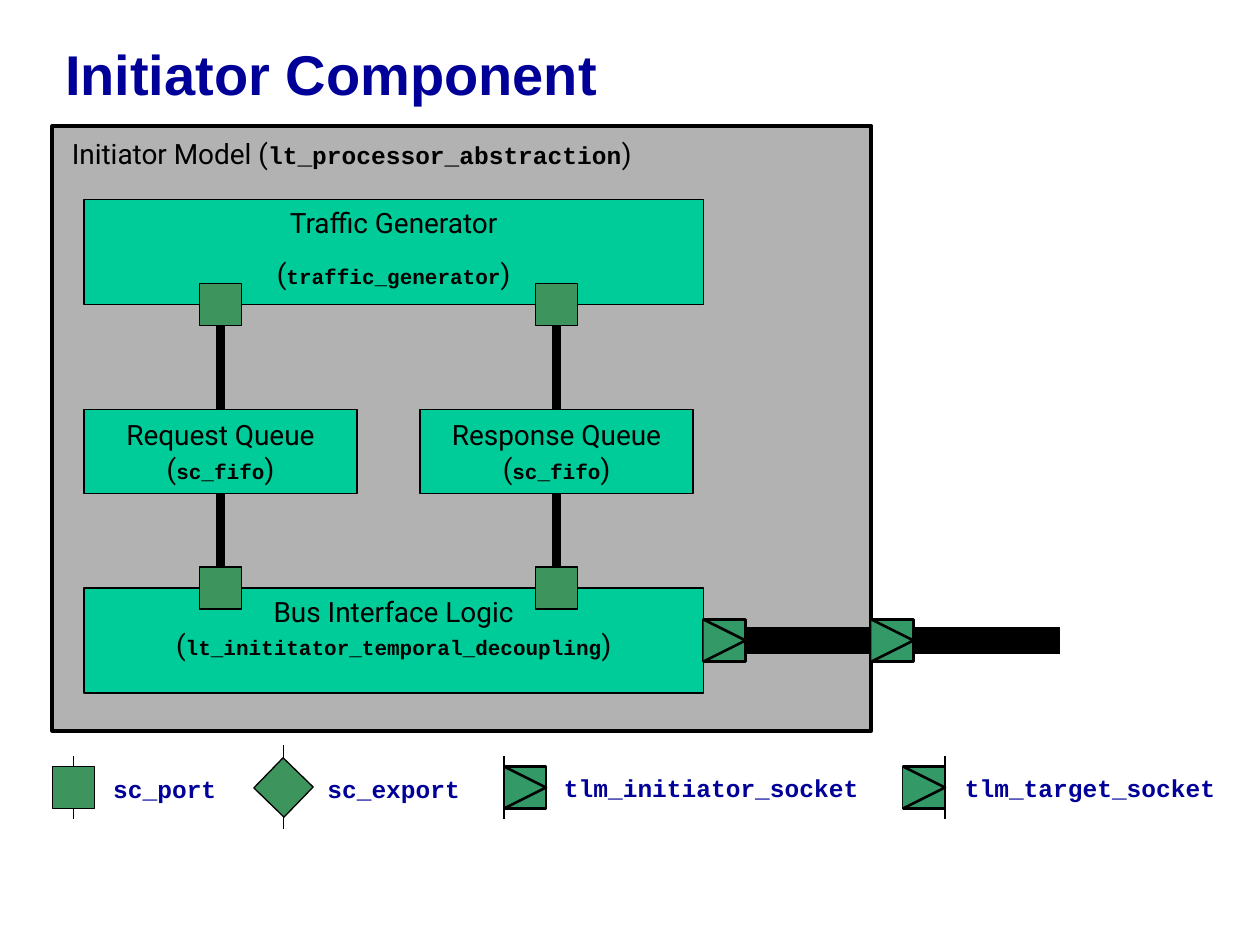
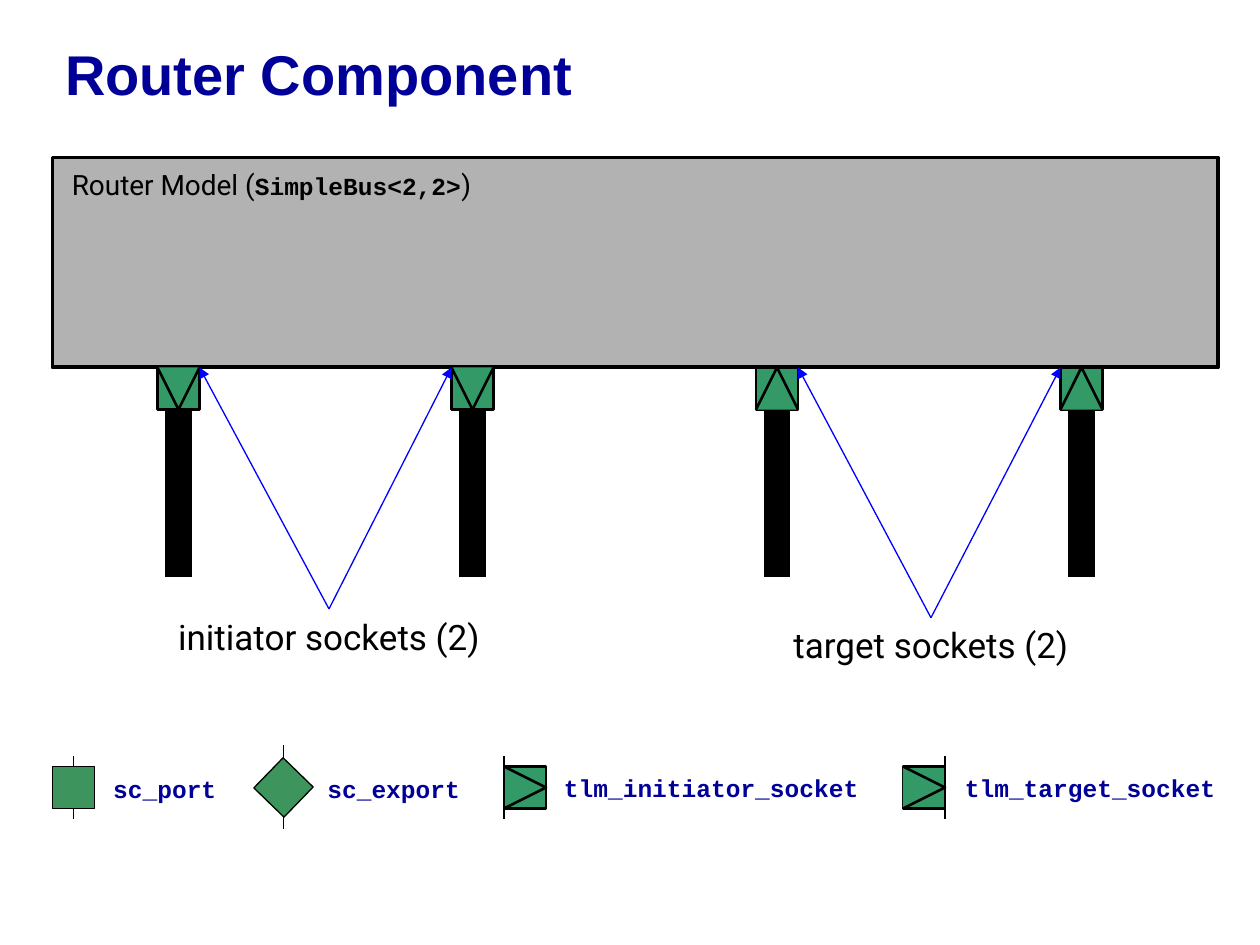
from lxml.etree import SubElement
from pptx import Presentation
from pptx.dml.color import RGBColor
from pptx.enum.shapes import MSO_CONNECTOR, MSO_SHAPE
from pptx.enum.text import MSO_ANCHOR, PP_ALIGN
from pptx.oxml.ns import qn
from pptx.util import Pt

COLORS = {
    "navy": "000099", "black": "000000", "gray": "B2B2B2", "mint": "00CC99",
    "port": "3E945D", "socket": "339966", "blue": "0000FF",
}
SANS, MONO, HEAD = "Roboto", "Courier New", "Arial"
SIDE = 24          # side of a port or socket
HALF = SIDE / 2
THIN, BOLD, LINK, BUS = 0.75, 1.5, 5, 15

# Socket triangles as fractions of the socket side
WEDGES = {
    "right": [(0, 0), (1, 0.5), (0, 1)],
    "down": [(0, 0), (0.5, 1), (1, 0)],
    "up": [(0, 1), (0.5, 0), (1, 1)],
}


def tint(name):
    return RGBColor.from_string(COLORS[name])


# Basic parts
def paint(shape, fill, weight):
    shape.shadow.inherit = False
    shape.fill.solid()
    shape.fill.fore_color.rgb = tint(fill)
    shape.line.color.rgb = tint("black")
    shape.line.width = Pt(weight)


def block(slide, box, fill, weight=THIN):
    shape = slide.shapes.add_shape(MSO_SHAPE.RECTANGLE, *map(Pt, box))
    paint(shape, fill, weight)
    return shape


def wire(slide, start, end, weight=THIN, color="black", arrow=False):
    line = slide.shapes.add_connector(
        MSO_CONNECTOR.STRAIGHT, *map(Pt, (*start, *end)))
    line.line.color.rgb = tint(color)
    line.line.width = Pt(weight)
    props = line._element.spPr
    if arrow:
        SubElement(props.find(qn("a:ln")), qn("a:tailEnd"), type="triangle")
    SubElement(props, qn("a:effectLst"))


def style(font, name, size, color="black", bold=False):
    font.name, font.size, font.bold = name, Pt(size), bold
    font.color.rgb = tint(color)


def text(slide, box, wrap=False):
    frame = slide.shapes.add_textbox(*map(Pt, box)).text_frame
    frame.word_wrap = wrap
    return frame


def mixed(para, lead, code, size):
    """Sans text followed by a bracketed name in code type."""
    for part, name, points in (
            (lead + "(", SANS, 16), (code, MONO, size), (")", SANS, 16)):
        run = para.add_run()
        run.text = part
        style(run.font, name, points, bold=name == MONO)


def port(slide, x, y):
    return block(slide, (x, y, SIDE, SIDE), "port")


def socket(slide, x, y, way="right"):
    block(slide, (x, y, SIDE, SIDE), "socket", BOLD)
    first, *rest = [(Pt(x + SIDE * u), Pt(y + SIDE * v))
                    for u, v in WEDGES[way]]
    path = slide.shapes.build_freeform(*first)
    path.add_line_segments(rest, close=False)
    paint(path.convert_to_shape(), "socket", BOLD)


# Shared regions
def start(deck, name):
    slide = deck.slides.add_slide(deck.slide_layouts[5])
    title = slide.shapes.title
    title.left, title.top, title.width, title.height = map(
        Pt, (30, 0, 684, 90))
    frame = title.text_frame
    frame.text = name
    frame.vertical_anchor = MSO_ANCHOR.MIDDLE
    para = frame.paragraphs[0]
    para.alignment = PP_ALIGN.LEFT
    para.line_spacing = 0.85
    style(para.font, HEAD, 32, "navy", True)
    return slide


def legend(slide, x, y):
    # name, symbol offset, text offset, text drop, text width
    items = (
        ("sc_port", 0, 27.6, 1, 73.4),
        ("sc_export", 120, 150, 0.6, 90),
        ("tlm_initiator_socket", 258, 285.2, 0, 183),
        ("tlm_target_socket", 486, 514.3, 0, 158),
    )
    for name, dx, tx, drop, width in items:
        left = x + dx
        if name.startswith("sc"):
            reach = 12 if name == "sc_export" else 6
            mid = left + HALF
            wire(slide, (mid, y - reach), (mid, y + SIDE + reach))
            mark = port(slide, left, y)
            if name == "sc_export":
                mark.rotation = 44.1
        else:
            socket(slide, left, y)
            edge = left + (SIDE if "target" in name else 0)
            wire(slide, (edge, y - 6), (edge, y + SIDE + 6))
        para = text(slide, (x + tx, y + drop, width, 24.2)).paragraphs[0]
        para.text = name
        style(para.font, MONO, 14, "navy", True)


def model(slide, box, lead, code):
    block(slide, box, "gray", 2.25)
    x, y = box[:2]
    para = text(slide, (x + 4, y + 6, 416, 23), True).paragraphs[0]
    para.line_spacing = 0.8
    para.space_before = Pt(10)
    mixed(para, lead, code, 14)


# Initiator slide
def unit(slide, box, name, code, anchor=MSO_ANCHOR.TOP, gap=0):
    frame = block(slide, box, "mint").text_frame
    frame.word_wrap = False
    frame.vertical_anchor = anchor
    top, low = frame.paragraphs[0], frame.add_paragraph()
    top.text = name
    style(top.font, SANS, 16)
    mixed(low, "", code, 12)
    low.space_before = Pt(gap)
    top.alignment = low.alignment = PP_ALIGN.CENTER


def initiator(slide, box):
    x, y, width, height = box
    model(slide, box, "Initiator Model ", "lt_processor_abstraction")
    left, wide, tall = x + 18, 354, 60
    upper, queue, lower = y + 42, y + 162, y + 264

    # Bus out of the model
    mid, inner, outer = lower + tall / 2, left + wide, x + width
    wire(slide, (inner + SIDE, mid), (outer, mid), BUS)
    wire(slide, (outer + SIDE, mid), (outer + 108, mid), BUS)

    unit(slide, (left, upper, wide, tall),
         "Traffic Generator", "traffic_generator", gap=10)
    unit(slide, (left, lower, wide, tall),
         "Bus Interface Logic", "lt_inititator_temporal_decoupling")
    for edge in (inner, outer):
        socket(slide, edge, mid - HALF)

    # Queues with their links and ports
    for col, name in enumerate(("Request Queue", "Response Queue")):
        side = left + 192 * col
        axis = side + 78
        ends = upper + tall, lower
        wire(slide, (axis, ends[0]), (axis, queue), LINK)
        wire(slide, (axis, queue + 48), (axis, ends[1]), LINK)
        unit(slide, (side, queue, 156, 48), name, "sc_fifo",
             MSO_ANCHOR.MIDDLE)
        for end in ends:
            port(slide, axis - HALF, end - HALF)


# Router slide
def pair(slide, lefts, y, way, name, apex, drop):
    for left in lefts:
        mid = left + HALF
        wire(slide, (mid, y + HALF), (mid, y + 120), BUS)
        socket(slide, left, y, way)
    for tip in (lefts[0] + SIDE, lefts[1]):
        wire(slide, (apex, y + drop), (tip, y), color="blue", arrow=True)
    para = text(slide, (apex - 96, y + drop, 192, 31.5)).paragraphs[0]
    para.text = name
    para.alignment = PP_ALIGN.CENTER
    style(para.font, SANS, 20)


def router(slide, box):
    x, y, _, height = box
    model(slide, box, "Router Model ", "SimpleBus<2,2>")
    base = y + height
    pair(slide, (x + 60, x + 228), base, "down",
         "initiator sockets (2)", x + 158, 138)
    pair(slide, (x + 402, x + 576), base, "up",
         "target sockets (2)", x + 502, 143)


def main():
    deck = Presentation()
    deck.slide_width, deck.slide_height = Pt(720), Pt(540)
    pages = (
        ("Initiator Component", initiator, (30, 72, 468, 345.6)),
        ("Router Component", router, (30, 90, 666, 120)),
    )
    for name, draw, box in pages:
        slide = start(deck, name)
        legend(slide, 30, 438)
        draw(slide, box)
    deck.save("out.pptx")


if __name__ == "__main__":
    main()
